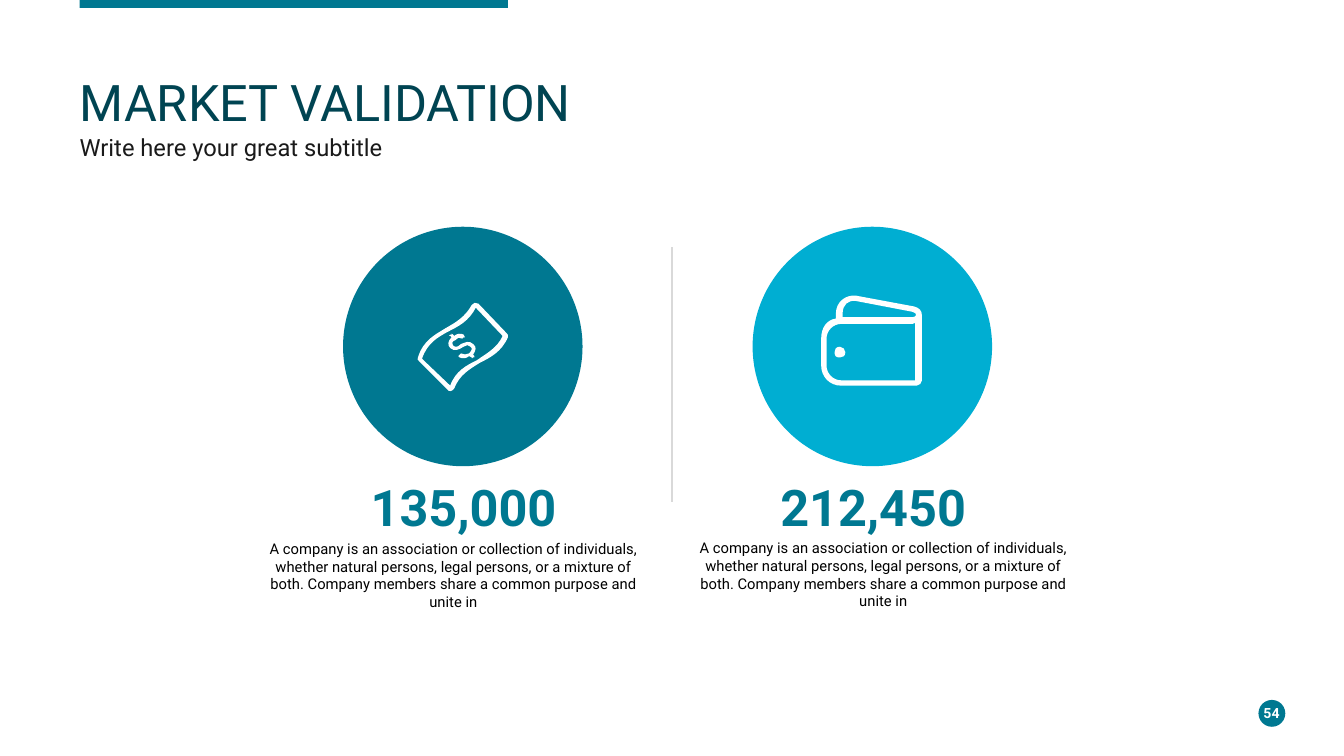
from dataclasses import dataclass
from typing import Any

from lxml.etree import SubElement
from pptx import Presentation
from pptx.dml.color import RGBColor
from pptx.enum.shapes import MSO_CONNECTOR, MSO_SHAPE
from pptx.enum.text import MSO_ANCHOR, PP_ALIGN
from pptx.oxml.ns import qn
from pptx.util import Pt


@dataclass(frozen=True)
class Theme:
    font: str = "Roboto"
    teal: str = "007891"
    cyan: str = "00AED2"
    deep: str = "004452"
    ink: str = "1A1A1A"
    black: str = "000000"
    white: str = "FFFFFF"
    rule: str = "D9D9D9"
    head: float = 27
    sub: float = 12.7
    body: float = 7.9
    page: float = 7.5


@dataclass(frozen=True)
class Box:
    x: float
    y: float
    w: float
    h: float


@dataclass(frozen=True)
class Icon:
    x: float
    y: float
    d: str  # M, L and C steps on a grid of UNIT points


@dataclass(frozen=True)
class Card:
    color: str
    count: str
    note: Box
    icon: Icon


T = Theme()
UNIT = 0.72
LEFT = 42.7
PITCH = 219.4
BODY = ("A company is an association or collection of individuals, whether natural "
        "persons, legal persons, or a mixture of both. Company members share a common "
        "purpose and unite in")

CASH = """
M 23 65 L 2 44 C 1 43 0 42 1 41 C 5 28 14 24 22 19 C 29 15 36 11 41 2
C 42 0 44 0 46 1 L 67 23 C 68 23 68 25 68 26 C 63 37 55 41 47 45
C 39 50 32 54 28 64 C 27 66 24 67 23 65
M 4 42 L 25 62 C 29 51 37 47 45 43 C 52 38 60 34 64 25 L 44 4
C 39 14 31 18 23 22 C 16 26 8 30 4 42
M 26 24 L 25 24 C 24 25 24 25 25 25 L 26 26 C 23 29 23 32 25 34
C 28 37 32 35 35 33 C 37 32 39 31 40 33 C 42 34 41 36 39 38
C 37 39 35 39 33 38 C 32 38 32 38 32 39 L 31 40 C 31 40 31 40 32 41
C 34 42 37 42 39 40 L 41 41 C 41 42 41 42 42 41 L 43 41
C 43 40 43 40 43 40 L 42 39 C 44 36 45 33 42 31 C 39 28 36 30 33 31
C 31 33 29 34 27 32 C 26 31 26 29 29 28 C 30 26 32 26 34 27
C 35 27 35 27 35 26 L 36 26 C 36 25 36 25 35 24 C 33 23 30 23 28 25
L 27 24 C 26 23 26 23 26 24"""
PURSE = """
M 11 18 L 11 14 C 11 6 18 0 26 1 L 69 9 C 73 10 75 12 75 16 L 75 64
C 75 66 73 68 71 68 L 15 68 C 6 68 0 61 0 53 L 0 33 C 0 25 4 19 11 18
M 70 21 C 70 21 69 22 68 22 L 15 22 C 9 22 4 27 4 33 L 4 53
C 4 59 9 64 15 64 L 70 64 L 70 21
M 14 39 C 11 39 10 41 10 43 C 10 46 11 47 14 47 C 16 47 18 46 18 43
C 18 41 16 39 14 39
M 16 14 L 16 17 L 68 17 C 71 17 72 14 68 13 L 26 5 C 20 4 16 8 16 14"""

CARDS = [
    Card(T.teal, "135,000", Box(139.9, 289.1, 205.9, 28.8), Icon(223.2, 162, CASH)),
    Card(T.cyan, "212,450", Box(369.1, 288.7, 208.1, 28.8), Icon(439.9, 157.7, PURSE)),
]


def put(obj: Any, vals: dict[str, Any]) -> None:
    for key, val in vals.items():
        setattr(obj, key, val)


def paint(shape: Any, color: str) -> None:
    shape.shadow.inherit = False
    shape.fill.solid()
    shape.fill.fore_color.rgb = RGBColor.from_string(color)
    shape.line.fill.background()


def block(slide: Any, kind: MSO_SHAPE, box: Box, color: str) -> None:
    paint(slide.shapes.add_shape(kind, Pt(box.x), Pt(box.y), Pt(box.w), Pt(box.h)), color)


def label(slide: Any, box: Box, text: str, size: float, color: str, bold: bool = False,
          pad: tuple[float, float] = (0, 0), anchor: MSO_ANCHOR = MSO_ANCHOR.TOP,
          para: dict[str, Any] | None = None) -> None:
    frame = slide.shapes.add_textbox(Pt(box.x), Pt(box.y), Pt(box.w), Pt(box.h)).text_frame
    put(frame, {"word_wrap": True, "vertical_anchor": anchor,
                "margin_left": Pt(pad[0]), "margin_right": Pt(pad[0]),
                "margin_top": Pt(pad[1]), "margin_bottom": Pt(pad[1])})
    line = frame.paragraphs[0]
    put(line, para or {"alignment": PP_ALIGN.CENTER})
    run = line.add_run()
    run.text = text
    put(run.font, {"name": T.font, "size": Pt(size), "bold": bold})
    run.font.color.rgb = RGBColor.from_string(color)


def bend(shape: Any, kinds: list[str]) -> None:
    """Join each three lines that stand for a C step into one curve."""
    lines = iter(list(shape._element.iter(qn("a:lnTo"))))
    for kind in kinds:
        first = next(lines)
        if kind == "C":
            first.tag = qn("a:cubicBezTo")
            for _ in range(2):
                other = next(lines)
                first.append(other[0])
                other.getparent().remove(other)


def draw(slide: Any, icon: Icon) -> None:
    loops: list[list[tuple[int, int]]] = []
    kinds: list[str] = []
    marks = iter(icon.d.split())
    for mark in marks:
        ends = [(Pt(float(next(marks)) * UNIT), Pt(float(next(marks)) * UNIT))
                for _ in range(3 if mark == "C" else 1)]
        if mark == "M":
            loops.append(ends)
        else:
            loops[-1] += ends
            kinds.append(mark)
    pen = slide.shapes.build_freeform(*loops[0][0])
    for num, loop in enumerate(loops):
        if num:
            pen.move_to(*loop[0])
        pen.add_line_segments(loop[1:], close=True)
    shape = pen.convert_to_shape(Pt(icon.x), Pt(icon.y))
    bend(shape, kinds)
    paint(shape, T.white)


def rule(slide: Any, x: float, top: float, end: float) -> None:
    line = slide.shapes.add_connector(MSO_CONNECTOR.STRAIGHT, Pt(x), Pt(top), Pt(x), Pt(end))
    line.line.width = Pt(1)
    line.line.color.rgb = RGBColor.from_string(T.rule)
    SubElement(line._element.spPr, qn("a:effectLst"))


def main() -> None:
    deck = Presentation()
    put(deck, {"slide_width": Pt(720), "slide_height": Pt(405)})
    slide = deck.slides.add_slide(deck.slide_layouts[6])

    # Top bar and page dot
    block(slide, MSO_SHAPE.RECTANGLE, Box(LEFT, 0, 229.5, 4.3), T.teal)
    block(slide, MSO_SHAPE.OVAL, Box(674.2, 375, 14.4, 14.4), T.teal)

    # Figures with icon and note
    for num, card in enumerate(CARDS):
        shift = num * PITCH
        block(slide, MSO_SHAPE.OVAL, Box(183.8 + shift, 121.5, 128.3, 128.3), card.color)
        draw(slide, card.icon)
        label(slide, Box(162 + shift, 252.3, 172.8, 38.2), card.count, T.head, T.teal,
              bold=True, pad=(5.8, 2.9))
        label(slide, card.note, BODY, T.body, T.black)
    rule(slide, 360, 132.5, 269)

    # Page number
    label(slide, Box(670.4, 376, 21.6, 11.5), "54", T.page, T.white, bold=True,
          anchor=MSO_ANCHOR.MIDDLE)

    # Heading
    label(slide, Box(LEFT, 72.7, 231.8, 11.5), "Write here your great subtitle", T.sub, T.ink,
          para={"line_spacing": 0.9, "space_before": Pt(7.5)})
    label(slide, Box(LEFT, 41.8, 627.8, 31), "MARKET VALIDATION", T.head, T.deep,
          para={"line_spacing": 0.9})

    deck.save("out.pptx")


if __name__ == "__main__":
    main()
